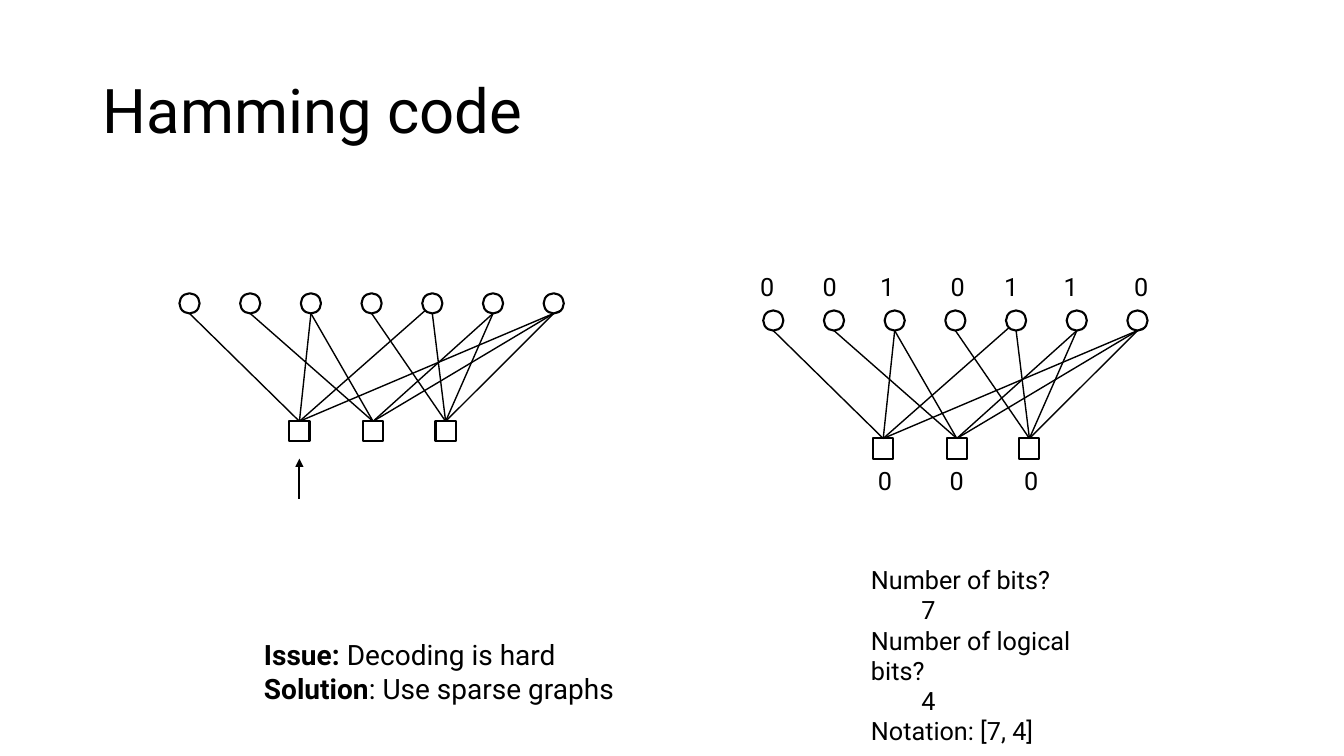
"""Build the Hamming code slide with its two Tanner graphs."""
from dataclasses import dataclass
from typing import Any

from lxml.etree import SubElement
from pptx import Presentation
from pptx.dml.color import RGBColor
from pptx.enum.shapes import MSO_CONNECTOR, MSO_SHAPE
from pptx.enum.text import MSO_ANCHOR, PP_ALIGN
from pptx.oxml.ns import qn
from pptx.util import Inches, Pt


@dataclass(frozen=True)
class Theme:
    font: str = "Roboto"
    ink: RGBColor = RGBColor(0x00, 0x00, 0x00)
    paper: RGBColor = RGBColor(0xFF, 0xFF, 0xFF)
    title: int = 44
    body: int = 20
    label: int = 18
    outline: float = 1.5
    edge: float = 1


@dataclass(frozen=True)
class Run:
    text: str
    bold: bool = False


@dataclass(frozen=True)
class Edge:
    check: int
    bit: int
    side: int = 0


@dataclass(frozen=True)
class Label:
    text: str
    left: float
    top: float


@dataclass(frozen=True)
class Graph:
    left: float
    top: float
    labels: tuple[Label, ...] = ()


THEME = Theme()
NODE = 0.2
BITS = 7
BIT_GAP = 0.602
CHECK_LEFTS = (1.09, 1.82, 2.54)
CHECK_DROP = 1.27
CORNER = 0.07
EDGES = (
    Edge(0, 0), Edge(0, 2), Edge(0, 4, -1), Edge(0, 6, 1),
    Edge(1, 1), Edge(1, 2), Edge(1, 5), Edge(1, 6),
    Edge(2, 3), Edge(2, 4), Edge(2, 5), Edge(2, 6),
)
BIT_LABELS = tuple(
    Label(text, left, 2.64)
    for text, left in zip("0010110", (7.44, 8.06, 8.63, 9.33, 9.86, 10.45, 11.15))
)
CHECK_LABELS = tuple(Label("0", left, 4.57) for left in (8.61, 9.32, 10.06))
GRAPHS = (Graph(1.78, 2.91), Graph(7.57, 3.08, BIT_LABELS + CHECK_LABELS))


def add_run(p: Any, run: Run, size: int) -> None:
    """Append one formatted run to a paragraph."""
    r = p.add_run()
    r.text = run.text
    r.font.name = THEME.font
    r.font.size = Pt(size)
    r.font.bold = run.bold
    r.font.color.rgb = THEME.ink


def add_text(shapes: Any, left: float, top: float, width: float, height: float,
             lines: tuple[tuple[Run, ...], ...], size: int) -> None:
    """Add a wrapped text box with one paragraph per line."""
    tf = shapes.add_textbox(Inches(left), Inches(top), Inches(width), Inches(height)).text_frame
    tf.word_wrap = True
    for i, runs in enumerate(lines):
        p = tf.add_paragraph() if i else tf.paragraphs[0]
        for run in runs:
            add_run(p, run, size)


def add_line(shapes: Any, x1: float, y1: float, x2: float, y2: float,
             width: float, arrow: bool = False) -> None:
    """Add a straight line, with an arrowhead at its end if asked."""
    cn = shapes.add_connector(MSO_CONNECTOR.STRAIGHT, Inches(x1), Inches(y1), Inches(x2), Inches(y2))
    cn.line.color.rgb = THEME.ink
    cn.line.width = Pt(width)
    if arrow:
        SubElement(cn.line._get_or_add_ln(), qn("a:tailEnd"), type="triangle")
    SubElement(cn._element.spPr, qn("a:effectLst"))


def add_node(shapes: Any, kind: MSO_SHAPE, left: float, top: float) -> None:
    """Add one bit circle or check square."""
    sp = shapes.add_shape(kind, Inches(left), Inches(top), Inches(NODE), Inches(NODE))
    sp.shadow.inherit = False
    sp.fill.solid()
    sp.fill.fore_color.rgb = THEME.paper
    sp.line.color.rgb = THEME.ink
    sp.line.width = Pt(THEME.outline)


def add_graph(shapes: Any, graph: Graph) -> None:
    """Draw a Tanner graph as one group."""
    group = shapes.add_group_shape().shapes
    check_top = graph.top + CHECK_DROP
    for bit in range(BITS):
        add_node(group, MSO_SHAPE.OVAL, graph.left + bit * BIT_GAP, graph.top)
    for left in CHECK_LEFTS:
        add_node(group, MSO_SHAPE.RECTANGLE, graph.left + left, check_top)
    for edge in EDGES:
        center = graph.left + NODE / 2
        add_line(group, center + CHECK_LEFTS[edge.check], check_top,
                 center + edge.bit * BIT_GAP + edge.side * CORNER,
                 graph.top + NODE - 0.03 * abs(edge.side), THEME.edge)
    for label in graph.labels:
        add_text(group, label.left, label.top, 0.36, 0.4, ((Run(label.text),),), THEME.label)


def add_title(slide: Any, text: str) -> None:
    """Place and format the title placeholder."""
    title = slide.shapes.title
    title.left, title.top = Inches(0.92), Inches(0.4)
    title.width, title.height = Inches(11.5), Inches(1.45)
    title.text_frame.vertical_anchor = MSO_ANCHOR.MIDDLE
    p = title.text_frame.paragraphs[0]
    p.alignment = PP_ALIGN.LEFT
    p.line_spacing = 0.9
    add_run(p, Run(text), THEME.title)


def main() -> None:
    """Build and save the slide."""
    prs = Presentation()
    prs.slide_width, prs.slide_height = Inches(13.33), Inches(7.5)
    s = prs.slides.add_slide(prs.slide_layouts[5])
    add_title(s, "Hamming code")
    for graph in GRAPHS:
        add_graph(s.shapes, graph)
    add_text(s.shapes, 2.52, 6.28, 9.2, 0.77, (
        (Run("Issue: ", True), Run("Decoding is hard")),
        (Run("Solution", True), Run(": Use sparse graphs")),
    ), THEME.body)
    facts = ("Number of bits?", "\t7", "Number of logical bits?", "\t4", "Notation: [7, 4]")
    add_text(s.shapes, 8.54, 5.55, 2.71, 1.62, tuple((Run(fact),) for fact in facts), THEME.label)
    add_line(s.shapes, 2.97, 4.95, 2.97, 4.55, THEME.outline, arrow=True)
    prs.save("out.pptx")


if __name__ == "__main__":
    main()
